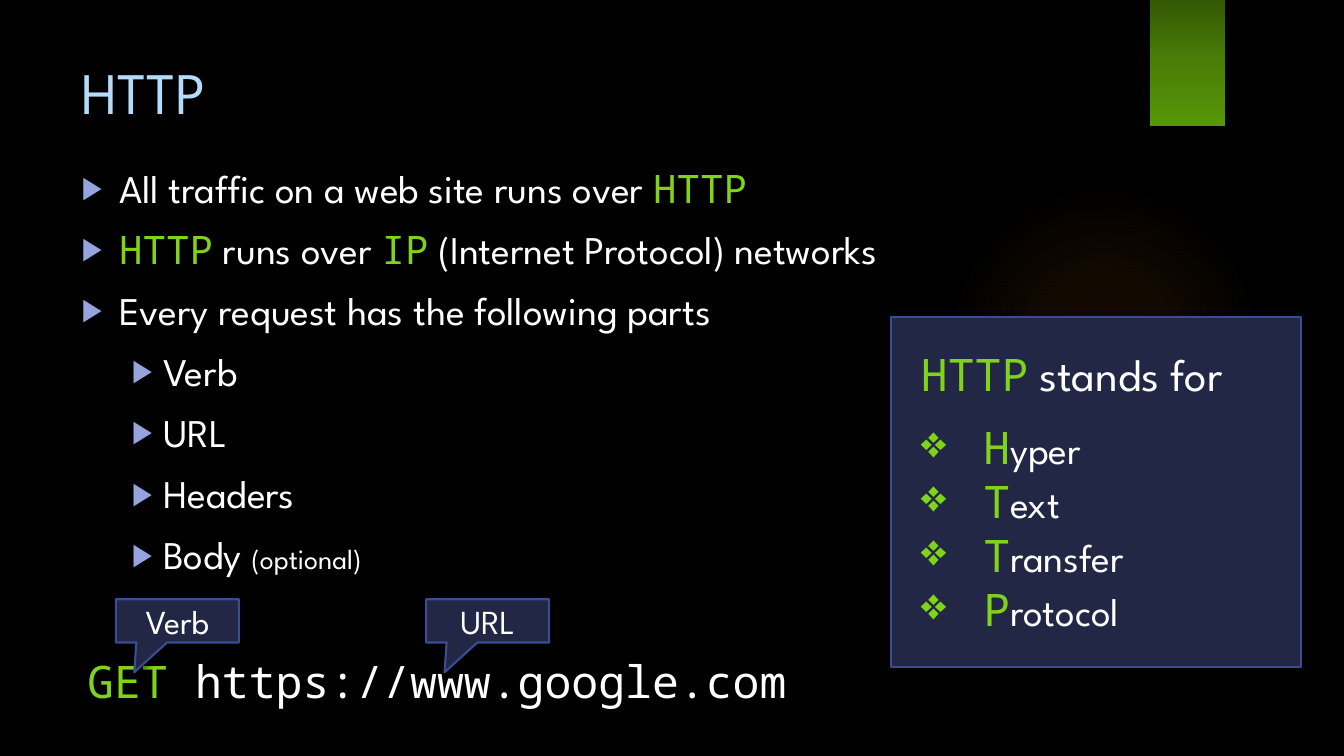
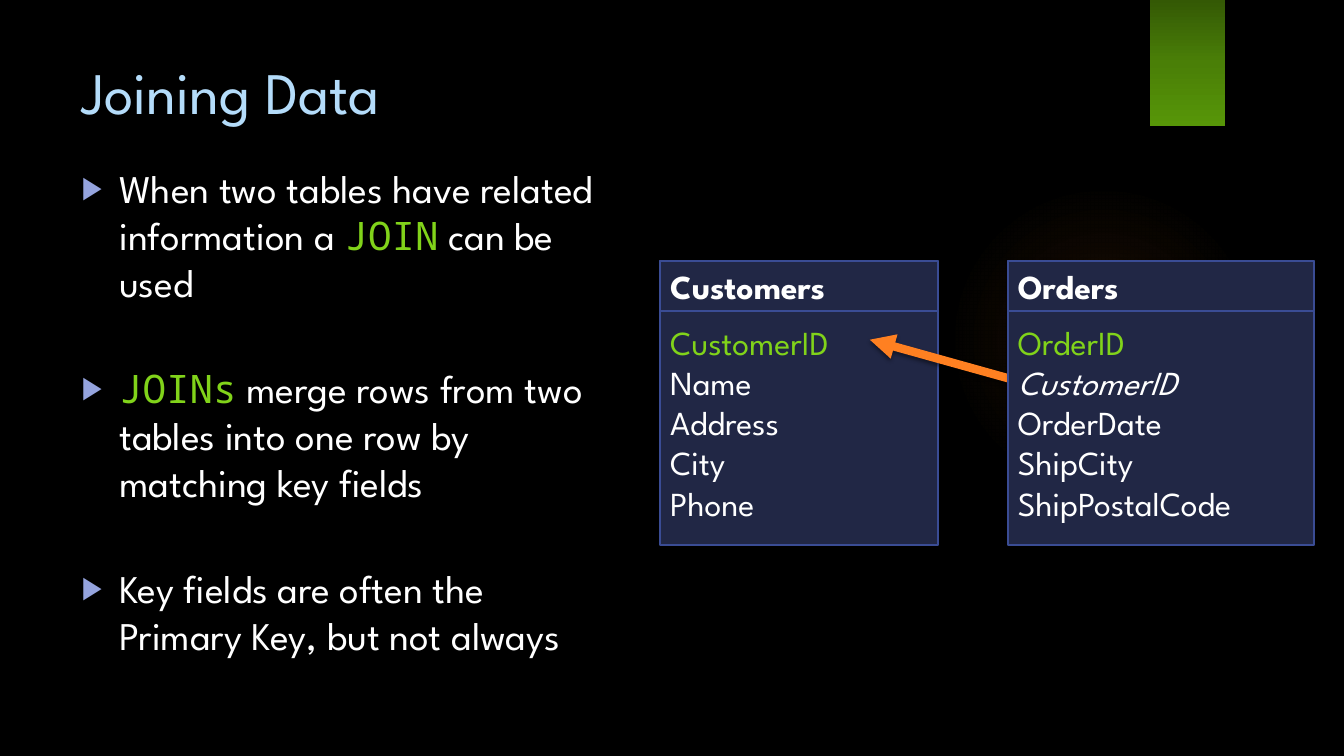
from dataclasses import dataclass
from typing import Optional, Sequence

from lxml.etree import SubElement
from pptx import Presentation
from pptx.dml.color import RGBColor
from pptx.enum.shapes import MSO_CONNECTOR, MSO_SHAPE
from pptx.enum.text import MSO_ANCHOR, MSO_AUTO_SIZE, PP_ALIGN
from pptx.oxml.ns import qn
from pptx.util import Cm, Pt

# Shared look
BLACK, WHITE, GREEN, SKY = "000000", "FFFFFF", "81D31A", "B4DCFA"
NAVY, EDGE, LILAC, ORANGE = "212745", "3A4C94", "95A4DE", "FF8021"
SANS, MONO = "League Spartan", "Noto Sans Mono"


@dataclass(frozen=True)
class Box:
    """Left, top, width and height in centimetres."""
    left: float
    top: float
    width: float
    height: float

    def lengths(self) -> tuple:
        return Cm(self.left), Cm(self.top), Cm(self.width), Cm(self.height)


@dataclass(frozen=True)
class Run:
    text: str
    size: float = 28
    color: str = WHITE
    font: str = SANS
    bold: bool = False
    italic: bool = False


@dataclass(frozen=True)
class Bullet:
    char: str
    color: str
    percent: int
    margin: float
    hanging: float


@dataclass(frozen=True)
class Para:
    runs: Sequence[Run]
    bullet: Optional[Bullet] = None
    before: float = 0
    level: int = 0
    margin: float = 0
    align: PP_ALIGN = PP_ALIGN.LEFT


@dataclass(frozen=True)
class Shadow:
    alpha: int
    blur: float
    distance: float
    angle: int


@dataclass(frozen=True)
class Entity:
    """A database table drawn as a header above its fields."""
    name: str
    left: float
    width: float
    fields: Sequence[Run]


POINT = Bullet("▶", LILAC, 80, 0.95, 0.95)
SUBPOINT = Bullet("▶", LILAC, 80, 2.06, 0.79)
DIAMOND = Bullet("❖", GREEN, 100, 1.57, 1.57)
PANEL_SHADOW = Shadow(40, 4, 3, 45)
ACCENT_SHADOW = Shadow(45, 3, 2, 90)


def rgb(color: str) -> RGBColor:
    return RGBColor.from_string(color)


def code(text: str, size: float = 28) -> Run:
    return Run(text, size, GREEN, MONO)


# Text
def add_bullet(paragraph, bullet: Optional[Bullet], margin: float) -> None:
    props = paragraph._p.get_or_add_pPr()
    if bullet is None:
        props.set("marL", str(Cm(margin)))
        props.set("indent", "0")
        SubElement(props, qn("a:buNone"))
        return
    props.set("marL", str(Cm(bullet.margin)))
    props.set("indent", str(-Cm(bullet.hanging)))
    color = SubElement(props, qn("a:buClr"))
    SubElement(color, qn("a:srgbClr"), val=bullet.color)
    SubElement(props, qn("a:buSzPct"), val=str(bullet.percent * 1000))
    SubElement(props, qn("a:buChar"), char=bullet.char)


def write(frame, paras: Sequence[Para], anchor: MSO_ANCHOR = MSO_ANCHOR.TOP) -> None:
    frame.word_wrap = True
    frame.auto_size = MSO_AUTO_SIZE.NONE
    frame.vertical_anchor = anchor
    for index, para in enumerate(paras):
        paragraph = frame.add_paragraph() if index else frame.paragraphs[0]
        add_bullet(paragraph, para.bullet, para.margin)
        paragraph.level = para.level
        paragraph.alignment = para.align
        paragraph.space_before = Pt(para.before)
        for part in para.runs:
            run = paragraph.add_run()
            run.text = part.text
            run.font.name = part.font
            run.font.size = Pt(part.size)
            run.font.bold = part.bold
            run.font.italic = part.italic
            run.font.color.rgb = rgb(part.color)


# Shapes
def add_shadow(shape, shadow: Shadow) -> None:
    props = shape.element.find(qn("p:spPr"))
    effects = props.find(qn("a:effectLst"))
    if effects is None:
        effects = SubElement(props, qn("a:effectLst"))
    outer = SubElement(effects, qn("a:outerShdw"), blurRad=str(Pt(shadow.blur)),
                       dist=str(Pt(shadow.distance)), dir=str(shadow.angle * 60000),
                       rotWithShape="0")
    color = SubElement(outer, qn("a:srgbClr"), val=BLACK)
    SubElement(color, qn("a:alpha"), val=str(shadow.alpha * 1000))


def add_gradient_shape(shapes, kind: MSO_SHAPE, box: Box, stops: Sequence[tuple],
                       radial: bool = False):
    """Each stop is (position %, colour, opacity %)."""
    shape = shapes.add_shape(kind, *box.lengths())
    gradient = SubElement(shape.element.find(qn("p:spPr")), qn("a:gradFill"),
                          rotWithShape="1")
    stop_list = SubElement(gradient, qn("a:gsLst"))
    for position, color, opacity in stops:
        stop = SubElement(stop_list, qn("a:gs"), pos=str(position * 1000))
        fill = SubElement(stop, qn("a:srgbClr"), val=color)
        if opacity < 100:
            SubElement(fill, qn("a:alpha"), val=str(opacity * 1000))
    if radial:
        center = SubElement(gradient, qn("a:path"), path="circle")
        SubElement(center, qn("a:fillToRect"), l="50000", t="50000", r="50000", b="50000")
    else:
        SubElement(gradient, qn("a:lin"), ang=str(90 * 60000), scaled="0")
    shape.line.fill.background()
    shape.shadow.inherit = False
    return shape


def add_panel(shapes, box: Box, paras: Sequence[Para], anchor: MSO_ANCHOR = MSO_ANCHOR.TOP,
              insets: Sequence[float] = (0.25, 0.13, 0.25, 0.13),
              kind: MSO_SHAPE = MSO_SHAPE.RECTANGLE, shadow: Optional[Shadow] = PANEL_SHADOW):
    panel = shapes.add_shape(kind, *box.lengths())
    panel.fill.solid()
    panel.fill.fore_color.rgb = rgb(NAVY)
    panel.line.color.rgb = rgb(EDGE)
    panel.line.width = Pt(1.5)
    panel.shadow.inherit = False
    if shadow:
        add_shadow(panel, shadow)
    frame = panel.text_frame
    (frame.margin_left, frame.margin_top,
     frame.margin_right, frame.margin_bottom) = map(Cm, insets)
    write(frame, paras, anchor)
    return panel


def add_callout(slide, label: str, left: float) -> None:
    callout = add_panel(slide.shapes, Box(left, 15.1, 3.1, 1.09),
                        [Para([Run(label, 24)], align=PP_ALIGN.CENTER)],
                        MSO_ANCHOR.MIDDLE, kind=MSO_SHAPE.RECTANGULAR_CALLOUT)
    callout.adjustments[0] = -0.35
    callout.adjustments[1] = 1.19


def add_entity(slide, entity: Entity) -> None:
    top = 6.58
    shapes = slide.shapes.add_group_shape().shapes
    add_panel(shapes, Box(entity.left, top, entity.width, 7.16),
              [Para([field]) for field in entity.fields], insets=(0.25, 1.52, 0.25, 0.13))
    add_panel(shapes, Box(entity.left, top, entity.width, 1.27),
              [Para([Run(entity.name, 24, bold=True)])], MSO_ANCHOR.MIDDLE, shadow=None)


def add_key_arrow(slide) -> None:
    arrow = slide.shapes.add_connector(MSO_CONNECTOR.STRAIGHT,
                                       Cm(26.37), Cm(9.8), Cm(21.92), Cm(8.56))
    arrow.line.color.rgb = rgb(ORANGE)
    arrow.line.width = Pt(6)
    line = arrow.element.find(qn("p:spPr")).find(qn("a:ln"))
    SubElement(line, qn("a:tailEnd"), type="triangle")
    add_shadow(arrow, ACCENT_SHADOW)


# Slides
def decorate_master(master, slide) -> None:
    """Set the background and move the glow and ribbon behind every slide."""
    master.background.fill.solid()
    master.background.fill.fore_color.rgb = rgb(BLACK)
    glow = add_gradient_shape(slide.shapes, MSO_SHAPE.OVAL, Box(23.9, 4.65, 7.82, 7.82),
                              [(0, ORANGE, 7), (36, ORANGE, 6), (69, ORANGE, 0)], radial=True)
    ribbon = add_gradient_shape(slide.shapes, MSO_SHAPE.RECTANGLE, Box(28.98, 0, 1.9, 3.18),
                                [(0, "345905", 100), (50, "4A7F07", 100), (100, "579608", 100)])
    add_shadow(ribbon, ACCENT_SHADOW)
    for position, decoration in enumerate((glow, ribbon), start=2):
        master.shapes.element.insert(position, decoration.element)


def place(placeholder, box: Box) -> None:
    (placeholder.left, placeholder.top,
     placeholder.width, placeholder.height) = box.lengths()


def add_content_slide(deck, title: str, body: Sequence[Para], body_width: float):
    slide = deck.slides.add_slide(deck.slide_layouts[1])
    heading, content = slide.placeholders
    place(heading, Box(1.8, 1.27, 26.14, 2.06))
    write(heading.text_frame, [Para([Run(title, 42, SKY)])], MSO_ANCHOR.MIDDLE)
    place(content, Box(1.8, 4.01, body_width, 14.58))
    write(content.text_frame, body)
    return slide


def build_http(deck):
    parts = [[Run("Verb")], [Run("URL")], [Run("Headers")],
             [Run("Body "), Run("(optional)", 20)]]
    body = [
        Para([Run("All traffic on a web site runs over "), code("HTTP")], POINT),
        Para([code("HTTP"), Run(" runs over "), code("IP"),
              Run(" (Internet Protocol) networks")], POINT, 10),
        Para([Run("Every request has the following parts")], POINT, 10),
        *(Para(part, SUBPOINT, 10, level=1) for part in parts),
        Para([code("GET", 32), Run(" https://www.google.com", 32, font=MONO)],
             before=54, margin=0.15),
    ]
    slide = add_content_slide(deck, "HTTP", body, 26.11)

    # Acronym panel
    words = ["Hyper", "Text", "Transfer", "Protocol"]
    acronym = [Para([code("HTTP", 32), Run(" stands for", 32)])]
    acronym += [Para([code(word[0], 32), Run(word[1:])], DIAMOND, 0 if index else 14)
                for index, word in enumerate(words)]
    add_panel(slide.shapes, Box(22.45, 7.98, 10.34, 8.84), acronym, insets=(0.76,) * 4)

    # Labels on the sample request
    add_callout(slide, "URL", 10.74)
    add_callout(slide, "Verb", 2.92)
    return slide


def build_joins(deck) -> None:
    body = [
        Para([Run("When two tables have related information a "), code("JOIN"),
              Run(" can be used")], POINT),
        Para([code("JOINs"), Run(" merge rows from two tables into one row by "
                                 "matching key fields")], POINT, 42),
        Para([Run("Key fields are often the Primary Key, but not always")], POINT, 42),
    ]
    slide = add_content_slide(deck, "Joining Data", body, 13.67)
    customers = Entity("Customers", 16.64, 6.99, [
        Run("CustomerID", 24, GREEN),
        *(Run(field, 24) for field in ("Name", "Address", "City", "Phone"))])
    orders = Entity("Orders", 25.4, 7.72, [
        Run("OrderID", 24, GREEN), Run("CustomerID", 24, italic=True),
        *(Run(field, 24) for field in ("OrderDate", "ShipCity", "ShipPostalCode"))])

    # The arrow starts behind the second table
    add_entity(slide, customers)
    add_key_arrow(slide)
    add_entity(slide, orders)


def main() -> None:
    deck = Presentation()
    deck.slide_width, deck.slide_height = Cm(33.87), Cm(19.05)
    decorate_master(deck.slide_master, build_http(deck))
    build_joins(deck)
    deck.save("out.pptx")


if __name__ == "__main__":
    main()
